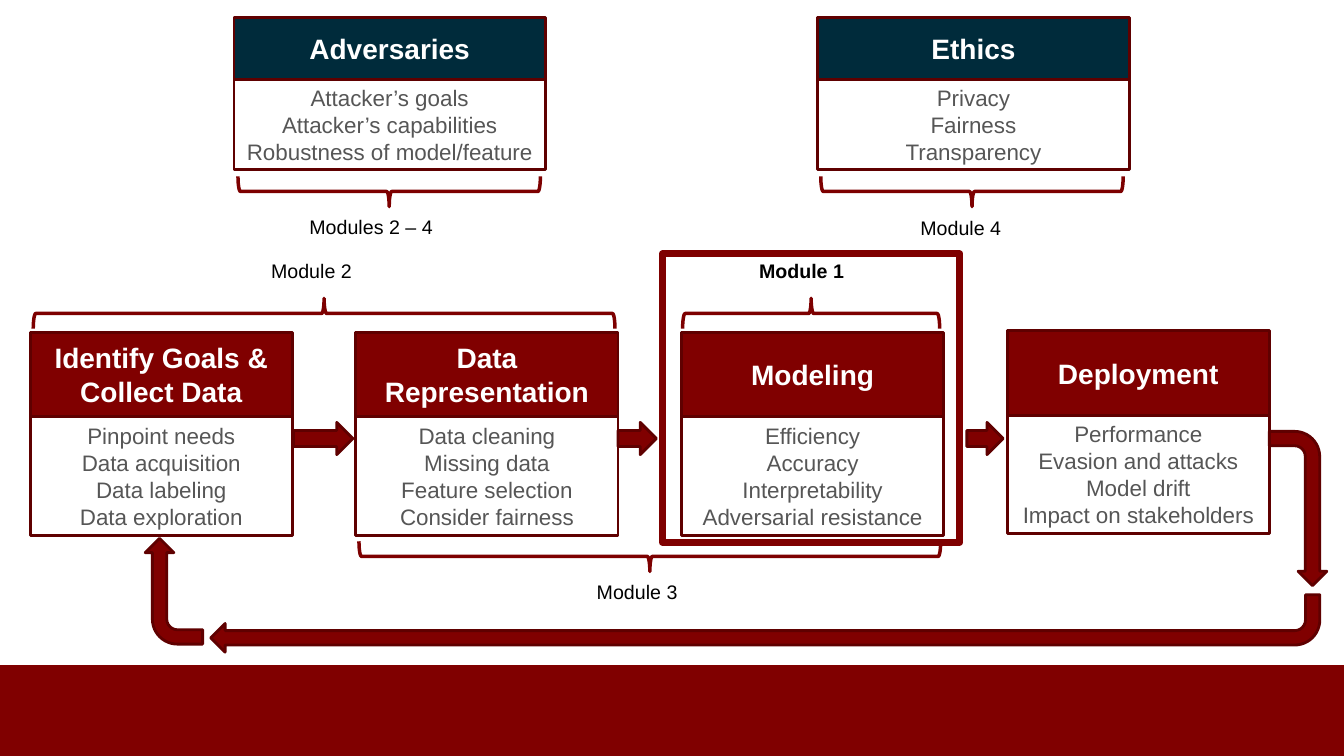
from pptx import Presentation
from pptx.dml.color import RGBColor
from pptx.enum.shapes import MSO_SHAPE
from pptx.enum.text import MSO_ANCHOR, PP_ALIGN
from pptx.util import Inches, Pt

# Content: stages as (heading, points, top, heading height, body height)
STAGES = [
    ("Identify Goals & Collect Data",
     ["Pinpoint needs", "Data acquisition", "Data labeling", "Data exploration"],
     3.3, 0.83, 1.18),
    ("Data Representation",
     ["Data cleaning", "Missing data", "Feature selection", "Consider fairness"],
     3.3, 0.83, 1.18),
    ("Modeling",
     ["Efficiency", "Accuracy", "Interpretability", "Adversarial resistance"],
     3.3, 0.83, 1.18),
    ("Deployment",
     ["Performance", "Evasion and attacks", "Model drift", "Impact on stakeholders"],
     3.28, 0.84, 1.17),
]
CONCERNS = [
    ("Adversaries",
     ["Attacker’s goals", "Attacker’s capabilities", "Robustness of model/feature"]),
    ("Ethics", ["Privacy", "Fairness", "Transparency"]),
]
# Module labels: text, left, top, width, bold
MODULE_LABELS = [
    ("Modules 2 – 4", 2.97, 2.08, 1.79, False),
    ("Module 4", 9.03, 2.09, 1.24, False),
    ("Module 2", 2.59, 2.52, 1.24, False),
    ("Module 1", 7.43, 2.52, 1.3, True),
    ("Module 3", 5.82, 5.7, 1.24, False),
]
# Braces as seen: left, top, span, rotation (90 points down, 270 points up)
BRACES = [
    (2.36, 1.75, 3.0, 90),
    (8.14, 1.75, 3.0, 90),
    (3.56, 5.37, 5.77, 90),
    (0.33, 2.96, 5.77, 270),
    (6.77, 2.96, 2.55, 270),
]
# Straight arrows between stages: left, width
STAGE_ARROWS = [(2.91, 0.59), (6.13, 0.38), (9.59, 0.36)]
# Feedback loop: left, top, length, rotation
LOOP_ARROWS = [
    (12.11, 4.76, 1.53, 90),
    (2.09, 5.9, 11.0, 180),
    (1.2, 5.58, 1.05, 270),
]

THEME = {
    "font": "Arial",
    "maroon": RGBColor(0x80, 0x00, 0x00),
    "frame": RGBColor(0x7F, 0x00, 0x00),
    "brace": RGBColor(0x7D, 0x00, 0x00),
    "border": RGBColor(0x5F, 0x00, 0x00),
    "navy": RGBColor(0x00, 0x2B, 0x3B),
    "white": RGBColor(0xFF, 0xFF, 0xFF),
    "gray": RGBColor(0x56, 0x56, 0x56),
    "black": RGBColor(0x00, 0x00, 0x00),
    "heading_size": 20,
    "body_size": 16,
    "label_size": 14,
}

STAGE_LEFT, STAGE_PITCH, STAGE_WIDTH = 0.3, 3.23, 2.6
CONCERN_LEFT, CONCERN_PITCH, CONCERN_WIDTH = 2.32, 5.79, 3.09
BRACE_DEPTH, LOOP_DEPTH = 0.3, 0.57


def add_block(slide, kind, left, top, width, height, fill=None,
              line="border", line_width=2, rotation=0):
    shape = slide.shapes.add_shape(
        kind, Inches(left), Inches(top), Inches(width), Inches(height))
    shape.shadow.inherit = False
    shape.rotation = rotation
    if fill:
        shape.fill.solid()
        shape.fill.fore_color.rgb = THEME[fill]
    else:
        shape.fill.background()
    if line:
        shape.line.color.rgb = THEME[line]
        shape.line.width = Pt(line_width)
    else:
        shape.line.fill.background()
    return shape


def write_lines(shape, lines, size, color, bold=False, align=PP_ALIGN.CENTER):
    text_frame = shape.text_frame
    text_frame.word_wrap = True
    text_frame.text = "\n".join(lines)
    for paragraph in text_frame.paragraphs:
        paragraph.alignment = align
        for run in paragraph.runs:
            run.font.name = THEME["font"]
            run.font.size = Pt(THEME[size])
            run.font.bold = bold
            run.font.color.rgb = THEME[color]


def add_card(slide, heading, points, left, top, width,
             heading_height, body_height, heading_fill):
    parts = [
        ([heading], top, heading_height, heading_fill, "heading_size", "white", True),
        (points, top + heading_height, body_height, "white", "body_size", "gray", False),
    ]
    for lines, part_top, height, fill, size, color, bold in parts:
        shape = add_block(slide, MSO_SHAPE.RECTANGLE, left, part_top, width, height, fill)
        write_lines(shape, lines, size, color, bold)
        shape.text_frame.vertical_anchor = MSO_ANCHOR.MIDDLE


def main():
    presentation = Presentation()
    presentation.slide_width = Inches(13.33)
    presentation.slide_height = Inches(7.5)
    slide = presentation.slides.add_slide(presentation.slide_layouts[6])

    # Footer band and highlight frame around the modeling stage
    add_block(slide, MSO_SHAPE.RECTANGLE, 0, 6.6, 13.33, 0.9, "maroon", line=None)
    add_block(slide, MSO_SHAPE.RECTANGLE, 6.57, 2.52, 2.95, 2.86, "white", "frame", 5)

    # Cross-cutting concerns
    for index, (heading, points) in enumerate(CONCERNS):
        add_card(slide, heading, points, CONCERN_LEFT + index * CONCERN_PITCH, 0.17,
                 CONCERN_WIDTH, 0.62, 0.89, "navy")

    # Pipeline stages
    for index, (heading, points, top, heading_height, body_height) in enumerate(STAGES):
        add_card(slide, heading, points, STAGE_LEFT + index * STAGE_PITCH, top,
                 STAGE_WIDTH, heading_height, body_height, "maroon")

    # Arrows between stages and back to the start
    for left, width in STAGE_ARROWS:
        add_block(slide, MSO_SHAPE.RIGHT_ARROW, left, 4.19, width, 0.32, "maroon")
    for left, top, length, rotation in LOOP_ARROWS:
        add_block(slide, MSO_SHAPE.BENT_ARROW, left, top, length, LOOP_DEPTH,
                  "maroon", rotation=rotation)

    # Braces: the unrotated shape stands upright about the same centre
    for left, top, span, rotation in BRACES:
        offset = (span - BRACE_DEPTH) / 2
        add_block(slide, MSO_SHAPE.RIGHT_BRACE, left + offset, top - offset,
                  BRACE_DEPTH, span, line="brace", line_width=2.5, rotation=rotation)

    # Module labels
    for text, left, top, width, bold in MODULE_LABELS:
        label = slide.shapes.add_textbox(
            Inches(left), Inches(top), Inches(width), Inches(0.4))
        write_lines(label, [text], "label_size", "black", bold, PP_ALIGN.LEFT)

    presentation.save("out.pptx")


if __name__ == "__main__":
    main()
